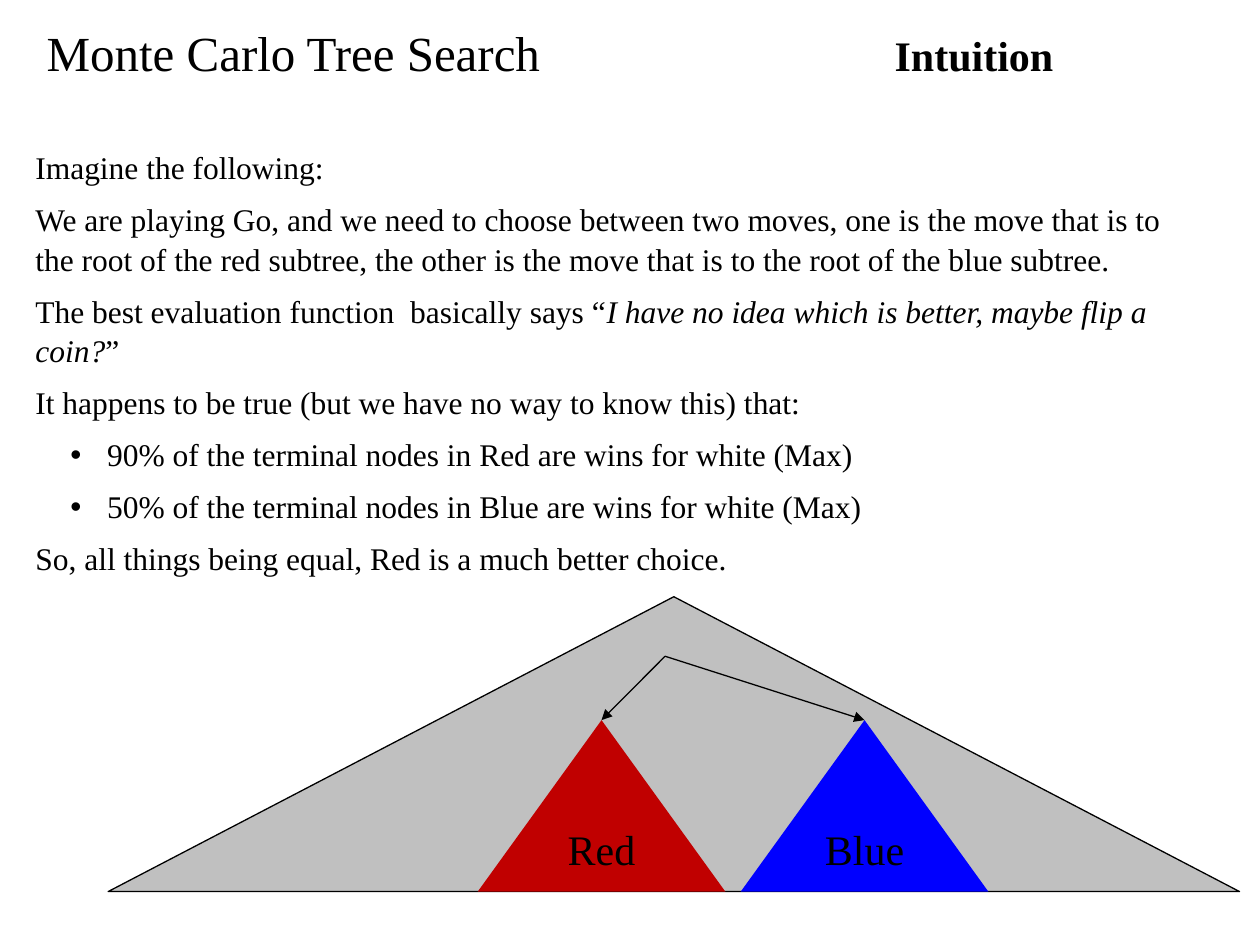
from lxml.etree import SubElement
from pptx import Presentation
from pptx.dml.color import RGBColor
from pptx.enum.shapes import MSO_CONNECTOR, MSO_SHAPE
from pptx.enum.text import MSO_ANCHOR, MSO_AUTO_SIZE, PP_ALIGN
from pptx.oxml.ns import qn
from pptx.util import Pt

FONT = "Times New Roman"
COLORS = {"ink": "000000", "gray": "C0C0C0", "red": "C00000", "blue": "0000FF"}
BODY = [
    (0, ["Imagine the following:"]),
    (0, ["We are playing Go, and we need to choose between two moves, one is the move "
         "that is to the root of the red subtree, the other is the move that is to the "
         "root of the blue subtree."]),
    (0, ["The best evaluation function  basically says “",
         "I have no idea which is better, maybe flip a coin?", "”"]),
    (0, ["It happens to be true (but we have no way to know this) that:"]),
    (1, ["90% of the terminal nodes in Red are wins for white (Max)"]),
    (1, ["50% of the terminal nodes in Blue are wins for white (Max)"]),
    (0, ["So, all things being equal, Red is a much better choice."]),
]


def color(name):
    return RGBColor.from_string(COLORS[name])


def style(run, size, bold=False, italic=False):
    font = run.font
    font.name, font.size = FONT, Pt(size)
    font.bold, font.italic = bold, italic
    font.color.rgb = color("ink")


def place(holder, box):
    holder.left, holder.top, holder.width, holder.height = map(Pt, box)
    frame = holder.text_frame
    frame.word_wrap = True
    frame.auto_size = MSO_AUTO_SIZE.NONE
    frame.vertical_anchor = MSO_ANCHOR.TOP
    return frame


def add_title(slide, box):
    para = place(slide.shapes.title, box).paragraphs[0]
    para.alignment = PP_ALIGN.LEFT
    tabs = SubElement(para._p.get_or_add_pPr(), qn("a:tabLst"))
    SubElement(tabs, qn("a:tab"), pos=str(Pt(484.5)), algn="l")
    for text, size, bold in [("Monte Carlo Tree Search\t", 28, False),
                             ("Intuition", 24, True)]:
        run = para.add_run()
        run.text = text
        style(run, size, bold)


def set_bullet(para, level):
    props = para._p.get_or_add_pPr()
    left, indent = (41, -21) if level else (0, 0)
    props.set("marL", str(Pt(left)))
    props.set("indent", str(Pt(indent)))
    if level:
        SubElement(props, qn("a:buFont"), typeface="Arial")
        SubElement(props, qn("a:buChar"), char="•")
    else:
        SubElement(props, qn("a:buNone"))


def add_body(slide, box):
    frame = place(slide.placeholders[1], box)
    for i, (level, parts) in enumerate(BODY):
        para = frame.add_paragraph() if i else frame.paragraphs[0]
        para.level = level
        set_bullet(para, level)
        para.alignment = PP_ALIGN.LEFT
        para.line_spacing = 1.05
        para.space_before, para.space_after = Pt(3 if i else 0), Pt(4)
        for j, text in enumerate(parts):
            run = para.add_run()
            run.text = text
            style(run, 18, italic=j == 1)


def add_cone(slide, box, fill, label=""):
    cone = slide.shapes.add_shape(MSO_SHAPE.ISOSCELES_TRIANGLE, *map(Pt, box))
    cone.shadow.inherit = False
    cone.fill.solid()
    cone.fill.fore_color.rgb = color(fill)
    if not label:
        cone.line.color.rgb = color("ink")
        cone.line.width = Pt(0.75)
        return cone
    cone.line.fill.background()
    frame = cone.text_frame
    frame.word_wrap = False
    frame.vertical_anchor = MSO_ANCHOR.MIDDLE
    frame.text = label
    para = frame.paragraphs[0]
    para.alignment = PP_ALIGN.CENTER
    style(para.runs[0], 24)
    return cone


def add_arrow(slide, x, y, cone):
    line = slide.shapes.add_connector(MSO_CONNECTOR.STRAIGHT, Pt(x), Pt(y), Pt(x), Pt(y))
    line.end_connect(cone, 0)
    line.line.color.rgb = color("ink")
    line.line.width = Pt(0.75)
    SubElement(line.line._get_or_add_ln(), qn("a:tailEnd"), type="triangle")
    SubElement(line._element.spPr, qn("a:effectLst"))


def add_tree(slide, box):
    x, y, w, h = box
    add_cone(slide, box, "gray")
    wide, high, step = 141.5, 98, 150.3
    cones = [
        add_cone(slide, (x + 211.2 + i * step, y + h - high, wide, high), name.lower(), name)
        for i, name in enumerate(["Red", "Blue"])
    ]
    for cone in cones:
        add_arrow(slide, x + w / 2 - 5, y + 34, cone)


def main():
    deck = Presentation()
    deck.slide_width, deck.slide_height = Pt(720), Pt(540)
    slide = deck.slides.add_slide(deck.slide_layouts[1])
    add_title(slide, (19.5, 9.5, 624, 41))
    add_body(slide, (13, 80, 674, 246))
    add_tree(slide, (61.8, 341, 646.5, 168.5))
    deck.save("out.pptx")


if __name__ == "__main__":
    main()
